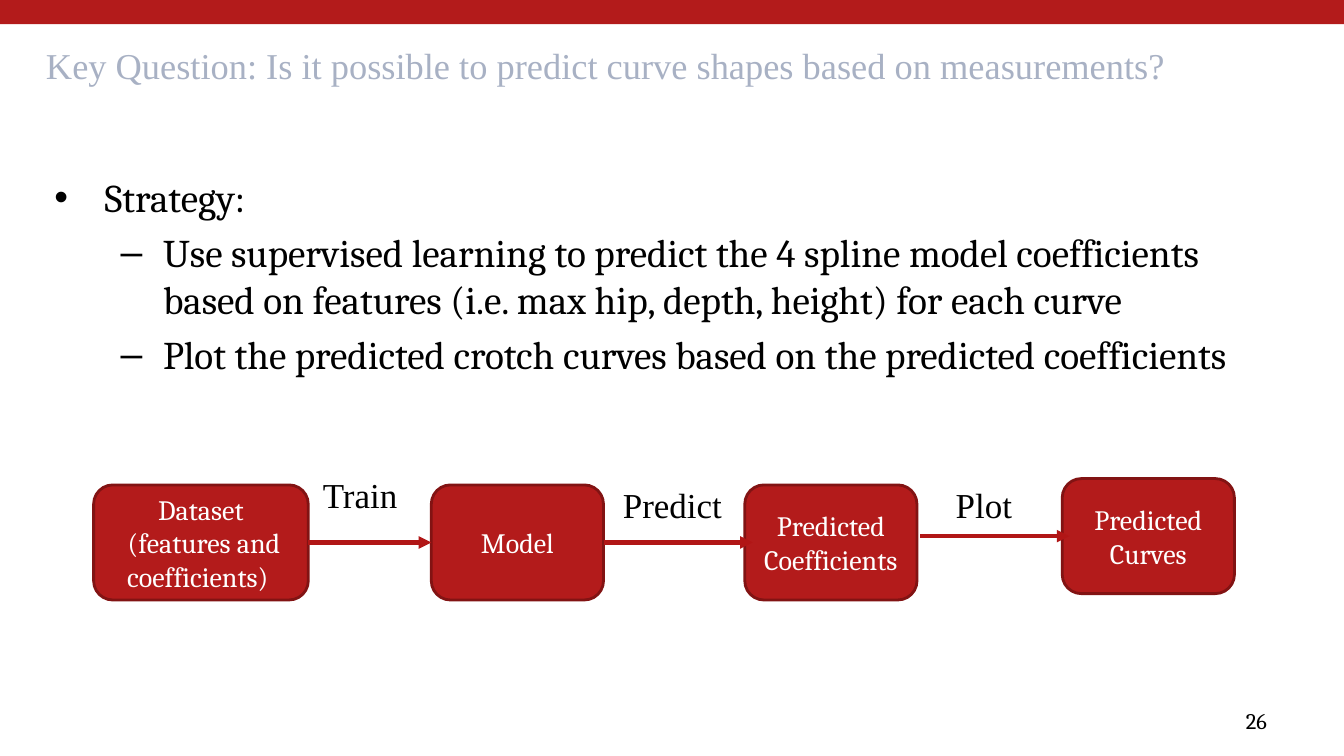
import dataclasses

import lxml.etree
import pptx
import pptx.dml.color
import pptx.enum.shapes
import pptx.enum.text
import pptx.oxml.ns
import pptx.util

Cm = pptx.util.Cm
Pt = pptx.util.Pt
Align = pptx.enum.text.PP_ALIGN
Anchor = pptx.enum.text.MSO_ANCHOR
Preset = pptx.enum.shapes.MSO_SHAPE
qn = pptx.oxml.ns.qn


@dataclasses.dataclass(frozen=True)
class Theme:
    serif: str = "Cambria"
    roman: str = "Times New Roman"
    red: str = "B31B1B"
    outline: str = "821313"
    arrow: str = "B11616"
    title: str = "A8B1C4"
    black: str = "000000"
    white: str = "FFFFFF"
    body_size: int = 28
    title_size: int = 26
    label_size: int = 25
    box_size: int = 20
    number_size: int = 16


def apply(target, values):
    for name, value in values.items():
        setattr(target, name, value)


def color(code):
    return pptx.dml.color.RGBColor.from_string(code)


class SlideBuilder:
    def __init__(self, page, theme):
        self.page = page
        self.theme = theme

    def style(self, para, font, size, ink, align=Align.LEFT):
        para.alignment = align
        apply(para.font, {"name": font, "size": Pt(size)})
        para.font.color.rgb = color(ink)

    def frame(self, shape, anchor=Anchor.TOP, inset_x=0.25, inset_y=0.13):
        apply(shape.text_frame, {
            "word_wrap": True,
            "vertical_anchor": anchor,
            "margin_left": Cm(inset_x),
            "margin_right": Cm(inset_x),
            "margin_top": Cm(inset_y),
            "margin_bottom": Cm(inset_y),
        })
        return shape.text_frame

    def text(self, place, words, font, size, ink, align=Align.LEFT, **insets):
        box = self.page.shapes.add_textbox(*map(Cm, place))
        para = self.frame(box, **insets).paragraphs[0]
        para.text = words
        self.style(para, font, size, ink, align)

    def shape(self, preset, place, outline=None):
        shape = self.page.shapes.add_shape(preset, *map(Cm, place))
        shape.shadow.inherit = False
        shape.fill.solid()
        shape.fill.fore_color.rgb = color(self.theme.red)
        if outline:
            shape.line.color.rgb = color(outline)
            shape.line.width = Pt(2)
        else:
            shape.line.fill.background()
        return shape

    def step(self, place, lines):
        box = self.shape(Preset.ROUNDED_RECTANGLE, place, self.theme.outline)
        frame = self.frame(box, Anchor.MIDDLE)
        frame.text = "\n".join(lines)
        for para in frame.paragraphs:
            self.style(para, self.theme.serif, self.theme.box_size,
                       self.theme.white, Align.CENTER)
        return box

    def arrow(self, start, end, y, source=None, target=None):
        line = self.page.shapes.add_connector(
            pptx.enum.shapes.MSO_CONNECTOR.STRAIGHT, Cm(start), Cm(y), Cm(end), Cm(y))
        if source:
            line.begin_connect(source, 3)
        if target:
            line.end_connect(target, 1)
        line.line.color.rgb = color(self.theme.arrow)
        line.line.width = Pt(3)
        lxml.etree.SubElement(line.line._get_or_add_ln(), qn("a:tailEnd"), type="triangle")
        lxml.etree.SubElement(line._element.spPr, qn("a:effectLst"))

    def bullets(self, place, items):
        box = self.page.shapes.add_textbox(*map(Cm, place))
        frame = self.frame(box, inset_x=0.33, inset_y=0.18)
        frame.text = "\n".join(words for level, words in items)
        formats = {0: ("•", 1.27, 1.27, 0), 1: ("–", 2.74, 1.07, 5.6)}
        for para, (level, words) in zip(frame.paragraphs, items):
            mark, margin, hang, before = formats[level]
            apply(para, {"level": level, "space_before": Pt(before)})
            properties = para._p.get_or_add_pPr()
            properties.set("marL", str(Cm(margin)))
            properties.set("indent", str(-Cm(hang)))
            lxml.etree.SubElement(properties, qn("a:buFont"), typeface="Arial")
            lxml.etree.SubElement(properties, qn("a:buChar"), char=mark)
            self.style(para, self.theme.serif, self.theme.body_size, self.theme.black)


def main():
    deck = pptx.Presentation()
    apply(deck, {"slide_width": Cm(33.87), "slide_height": Cm(19.05)})
    theme = Theme()
    builder = SlideBuilder(deck.slides.add_slide(deck.slide_layouts[6]), theme)

    builder.shape(Preset.RECTANGLE, (0, 0, 33.87, 0.61))
    builder.text((0.91, 1.09, 32.84, 1.9),
                 "Key Question: Is it possible to predict curve shapes based on measurements?",
                 theme.roman, theme.title_size, theme.title, inset_y=0)
    builder.text((24.28, 17.65, 7.9, 1.02), "26", theme.serif, theme.number_size,
                 theme.black, Align.RIGHT, anchor=Anchor.MIDDLE)
    builder.bullets((1.04, 4.19, 30.86, 5.72), [
        (0, "Strategy:"),
        (1, "Use supervised learning to predict the 4 spline model coefficients "
            "based on features (i.e. max hip, depth, height) for each curve"),
        (1, "Plot the predicted crotch curves based on the predicted coefficients"),
    ])

    height, row, last_row = 2.9, 12.22, 12.06
    dataset, model, coefficients, curves = [
        builder.step((left, top, width, height), lines)
        for left, top, width, lines in (
            (2.36, row, 5.41, ["Dataset", " (features and coefficients) "]),
            (10.87, row, 4.34, ["Model"]),
            (18.77, row, 4.34, ["Predicted Coefficients"]),
            (26.77, last_row, 4.34, ["Predicted Curves"]),
        )
    ]
    builder.arrow(7.77, 10.87, row + height / 2, dataset, model)
    builder.arrow(15.21, 18.97, row + height / 2, model)
    builder.arrow(23.19, 26.95, last_row + height / 2)

    for left, top, words in ((6.99, 11.68, "Train"), (14.86, 11.94, "Predict"),
                             (22.71, 11.94, "Plot")):
        builder.text((left, top, 4.17, 1.57), words, theme.roman, theme.label_size,
                     theme.black, Align.CENTER, inset_y=0.25)

    deck.save("out.pptx")


if __name__ == "__main__":
    main()
